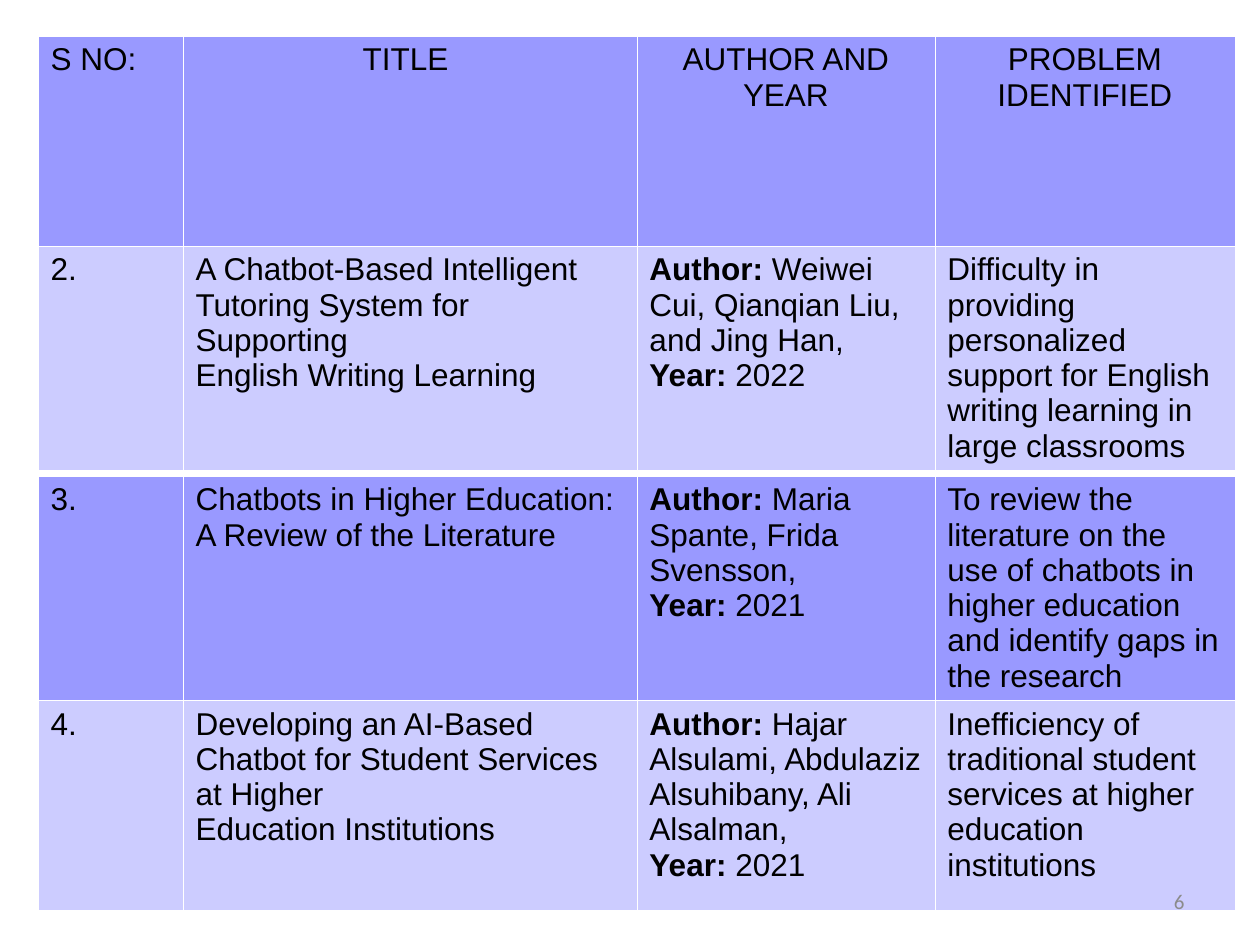
from typing import NamedTuple

from lxml import etree
from pptx import Presentation
from pptx import util as u
from pptx.dml.color import RGBColor
from pptx.enum import text
from pptx.oxml import ns

PX = u.Inches(1) // 126
BLACK = RGBColor(0x00, 0x00, 0x00)
WHITE = RGBColor(0xFF, 0xFF, 0xFF)
GREY = RGBColor(0x8B, 0x8B, 0x8B)
VIOLET = RGBColor(0x99, 0x99, 0xFF)
LAVENDER = RGBColor(0xCC, 0xCC, 0xFF)

TABLE_LEFT = 38
COLUMN_WIDTHS = (145, 454, 298, 300)
BORDER_WIDTH = u.Pt(0.06)


class Run(NamedTuple):
    text: str
    bold: bool = False


class Row(NamedTuple):
    height: int
    cells: tuple  # each cell is a list of paragraphs, each a list of runs
    centred_columns: tuple = ()


class PaperTable(NamedTuple):
    top: int
    rows: tuple


def plain(*lines: str) -> list:
    return [[Run(line)] for line in lines]


AUTHOR = Run("Author:", True)
YEAR = Run("Year:", True)

TABLES = (
    PaperTable(36, (
        Row(210, (
            plain("S NO:"),
            plain("TITLE "),
            plain("AUTHOR AND YEAR"),
            plain("PROBLEM IDENTIFIED"),
        ), centred_columns=(1, 2, 3)),
        Row(224, (
            plain("2."),
            plain("A Chatbot-Based Intelligent Tutoring System for Supporting",
                  "English Writing Learning"),
            [[AUTHOR, Run(" Weiwei Cui, Qianqian Liu, and Jing Han, "),
              YEAR, Run(" 2022")]],
            plain("Difficulty in providing personalized support for English "
                  "writing learning in large classrooms"),
        )),
    )),
    PaperTable(476, (
        Row(224, (
            plain("3."),
            plain("Chatbots in Higher Education: A Review of the Literature"),
            [[AUTHOR, Run(" Maria Spante, Frida Svensson,")],
             [YEAR, Run(" 2021")]],
            plain("To review the literature on the use of chatbots in higher "
                  "education and identify gaps in the research"),
        )),
        Row(210, (
            plain("4."),
            plain("Developing an AI-Based Chatbot for Student Services at Higher",
                  "Education Institutions"),
            [[AUTHOR, Run(" Hajar Alsulami, Abdulaziz Alsuhibany, Ali Alsalman,")],
             [YEAR, Run(" 2021")]],
            plain("Inefficiency of traditional student services at higher "
                  "education institutions"),
        )),
    )),
)


def write_text(frame, paragraphs: list, *, size: int = 18, font: str = "Arial",
               colour: RGBColor = BLACK, align=text.PP_ALIGN.LEFT) -> None:
    for index, runs in enumerate(paragraphs):
        paragraph = frame.add_paragraph() if index else frame.paragraphs[0]
        paragraph.alignment = align
        for item in runs:
            run = paragraph.add_run()
            run.text = item.text
            run.font.size = u.Pt(size)
            run.font.name = font
            run.font.bold = item.bold
            run.font.color.rgb = colour


def set_borders(cell) -> None:
    properties = cell._tc.get_or_add_tcPr()
    for index, side in enumerate(("a:lnL", "a:lnR", "a:lnT", "a:lnB")):
        line = etree.Element(ns.qn(side), w=str(BORDER_WIDTH))
        fill = etree.SubElement(line, ns.qn("a:solidFill"))
        etree.SubElement(fill, ns.qn("a:srgbClr"), val=str(WHITE))
        properties.insert(index, line)  # borders come before the fill


def draw_table(slide, paper_table: PaperTable) -> None:
    rows = paper_table.rows
    table = slide.shapes.add_table(
        len(rows), len(COLUMN_WIDTHS), TABLE_LEFT * PX, paper_table.top * PX,
        sum(COLUMN_WIDTHS) * PX, sum(row.height for row in rows) * PX).table
    table.first_row = table.horz_banding = False
    for column, width in zip(table.columns, COLUMN_WIDTHS):
        column.width = width * PX
    for row_index, (row, colour) in enumerate(zip(rows, (VIOLET, LAVENDER))):
        table.rows[row_index].height = row.height * PX
        for column_index, paragraphs in enumerate(row.cells):
            cell = table.cell(row_index, column_index)
            cell.fill.solid()
            cell.fill.fore_color.rgb = colour
            set_borders(cell)
            centred = column_index in row.centred_columns
            write_text(cell.text_frame, paragraphs,
                       align=text.PP_ALIGN.CENTER if centred else text.PP_ALIGN.LEFT)


def draw_slide_number(slide, number: str) -> None:
    box = slide.shapes.add_textbox(903 * PX, 876 * PX, 294 * PX, 50 * PX)
    box.text_frame.word_wrap = True
    box.text_frame.vertical_anchor = text.MSO_ANCHOR.MIDDLE
    write_text(box.text_frame, plain(number), size=12, font="Calibri",
               colour=GREY, align=text.PP_ALIGN.RIGHT)


def main() -> None:
    presentation = Presentation()
    presentation.slide_width = 1260 * PX
    presentation.slide_height = 945 * PX
    slide = presentation.slides.add_slide(presentation.slide_layouts[6])

    # Literature survey, split over two tables
    for paper_table in TABLES:
        draw_table(slide, paper_table)

    # Slide number
    draw_slide_number(slide, "6")
    presentation.save("out.pptx")


if __name__ == "__main__":
    main()
